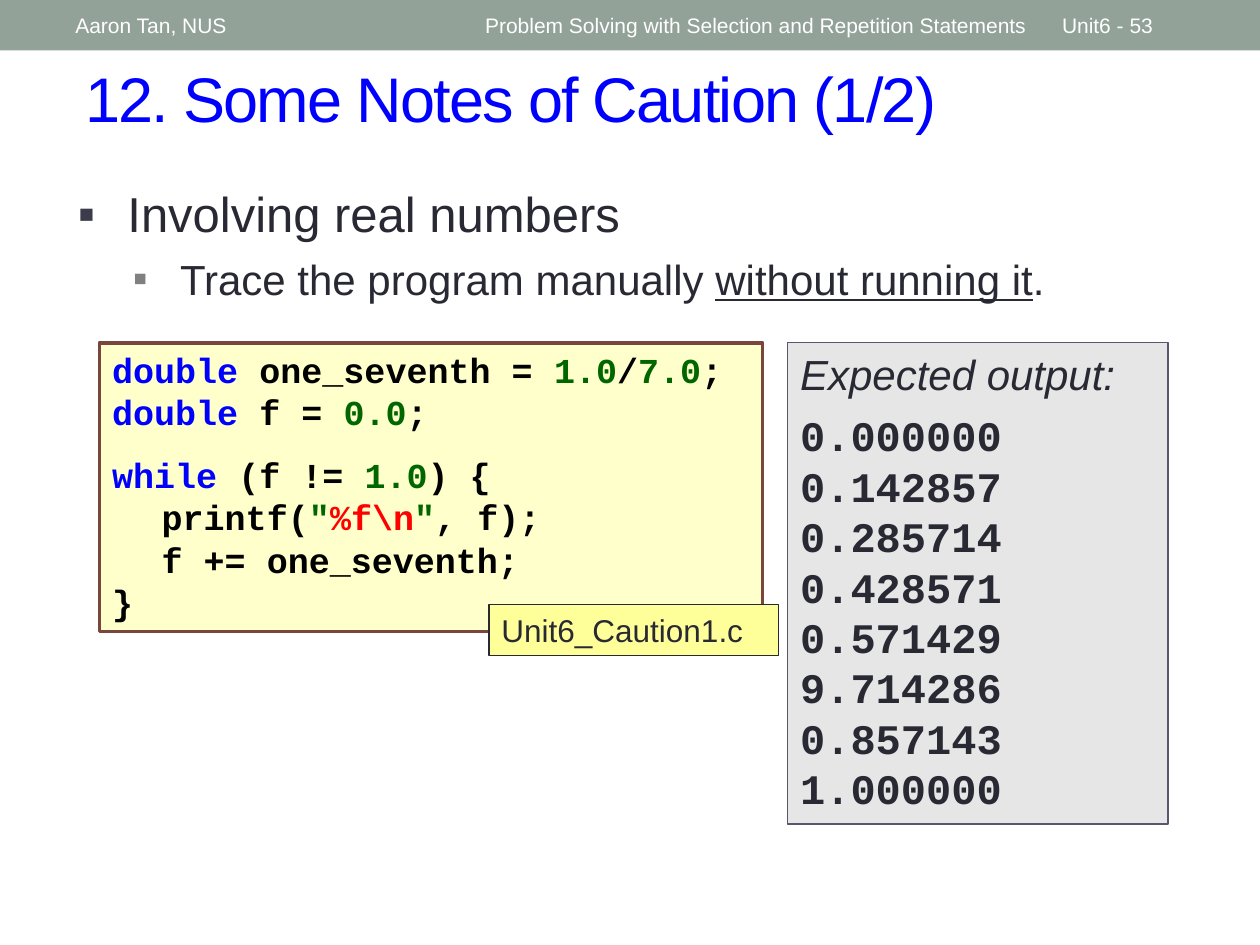
from dataclasses import dataclass
from lxml.etree import SubElement as Sub
from pptx import Presentation
from pptx.dml.color import RGBColor as RGB
from pptx.enum.shapes import MSO_SHAPE as Shape
from pptx.enum.text import MSO_ANCHOR as Anchor, MSO_AUTO_SIZE as Fit, PP_ALIGN as Align
from pptx.oxml.ns import qn
from pptx.util import Cm, Pt


@dataclass(frozen=True)
class Theme:
    sans: str = "Arial"
    mono: str = "Courier New"
    white: str = "FFFFFF"
    band: str = "93A299"
    title: str = "0000FF"
    ink: str = "292934"
    keyword: str = "0000FF"
    plain: str = "000000"
    number: str = "006600"
    escape: str = "FF0000"
    bullet: str = "3B3B4B"
    sub_bullet: str = "808080"
    code_fill: str = "FFFFCC"
    code_line: str = "79463D"
    tag_fill: str = "FFFF99"
    output_fill: str = "E6E6E6"
    output_line: str = "57576E"
    small: int = 12
    file: int = 18
    code: int = 20
    body: int = 24
    lead: int = 28
    heading: int = 36


class Deck:
    def __init__(self, theme):
        self.t = theme
        self.prs = Presentation()
        self.prs.slide_width, self.prs.slide_height = Cm(25.4), Cm(19.05)
        self.s = self.prs.slides.add_slide(self.prs.slide_layouts[6])

    def frame(self, tf, anchor=Anchor.TOP, fit=Fit.NONE):
        for name, value in {"word_wrap": True, "vertical_anchor": anchor, "auto_size": fit}.items():
            setattr(tf, name, value)
        return tf

    def text(self, at, **kw):
        return self.frame(self.s.shapes.add_textbox(*map(Cm, at)).text_frame, **kw)

    def box(self, at, fill, line=None, width=0.75):
        sp = self.s.shapes.add_shape(Shape.RECTANGLE, *map(Cm, at))
        sp.shadow.inherit = False
        sp.fill.solid()
        sp.fill.fore_color.rgb = RGB.from_string(fill)
        if line:
            sp.line.color.rgb = RGB.from_string(line)
            sp.line.width = Pt(width)
        else:
            sp.line.fill.background()
        return self.frame(sp.text_frame, fit=Fit.SHAPE_TO_FIT_TEXT if line else Fit.NONE)

    def para(self, tf, runs, size, font=None, color=None, first=False, **spacing):
        p = tf.paragraphs[0] if first else tf.add_paragraph()
        for name, value in {"alignment": Align.LEFT, **spacing}.items():
            setattr(p, name, value)
        for text, style in runs:
            r = p.add_run()
            r.text = text
            look = {"name": font or self.t.sans, "size": Pt(size), "color": color or self.t.ink, **style}
            r.font.color.rgb = RGB.from_string(look.pop("color"))
            for name, value in look.items():
                setattr(r.font, name, value)
        return p

    def bullet(self, p, color, left, hang):
        ppr = p._p.get_or_add_pPr()
        ppr.set("marL", str(Cm(left)))
        ppr.set("indent", str(-Cm(hang)))
        Sub(Sub(ppr, qn("a:buClr")), qn("a:srgbClr"), val=color)
        Sub(ppr, qn("a:buFont"), typeface=self.t.sans)
        Sub(ppr, qn("a:buChar"), char="▪")

    def tabs(self, p, step, count):
        tab_list = Sub(p._p.get_or_add_pPr(), qn("a:tabLst"))
        for i in range(1, count + 1):
            Sub(tab_list, qn("a:tab"), pos=str(Cm(step * i)), algn="l")


def main():
    t = Theme()
    deck = Deck(t)

    deck.box((0, 0, 25.4, 1.02), t.band)
    for left, width, label in (
        (1.27, 8.05, "Aaron Tan, NUS"),
        (9.53, 11.43, "Problem Solving with Selection and Repetition Statements"),
        (21.16, 2.97, "Unit6 - 53"),
    ):
        tf = deck.text((left, 0.05, width, 0.91), anchor=Anchor.MIDDLE)
        deck.para(tf, [(label, {})], t.small, color=t.white, first=True)

    tf = deck.text((1.47, 1.07, 23.29, 2.34))
    p = deck.para(tf, [("12. Some Notes of Caution (1/2)", {})], t.heading, color=t.title, first=True)
    p.runs[0].font._element.set("spc", "-100")

    tf = deck.text((1.32, 3.58, 22.07, 3.33))
    p = deck.para(tf, [("Involving real numbers", {})], t.lead, first=True)
    deck.bullet(p, t.bullet, 1, 1)
    p = deck.para(
        tf,
        [("Trace the program manually ", {}), ("without running it", {"underline": True}), (".", {})],
        t.body, level=1, space_before=Pt(6),
    )
    deck.bullet(p, t.sub_bullet, 2.06, 0.95)

    code = (
        (("double ", t.keyword), ("one_seventh = ", t.plain), ("1.0", t.number),
         ("/", t.plain), ("7.0", t.number), (";", t.plain)),
        (("double ", t.keyword), ("f = ", t.plain), ("0.0", t.number), (";", t.plain)),
        (("while ", t.keyword), ("(f != ", t.plain), ("1.0", t.number), (") {", t.plain)),
        (("\tprintf(", t.plain), ('"', t.number), ("%f\\n", t.escape), ('"', t.number), (", f);", t.plain)),
        (("\tf += one_seventh;", t.plain),),
        (("}", t.plain),),
    )
    loop_start = 2
    tf = deck.box((2.01, 6.91, 13.36, 5.82), t.code_fill, t.code_line, 2.08)
    for i, line in enumerate(code):
        runs = [(text, {"color": color, "bold": True}) for text, color in line]
        gap = {"space_before": Pt(12)} if i == loop_start else {}
        p = deck.para(tf, runs, t.code, t.mono, first=i == 0)
        deck.tabs(p, 1, 3)
        for name, value in gap.items():
            setattr(p, name, value)

    tf = deck.box((9.86, 12.19, 5.84, 1.02), t.tag_fill, t.ink)
    deck.para(tf, [("Unit6_Caution1.c", {})], t.file, first=True)

    tf = deck.box((15.88, 6.91, 7.67, 9.7), t.output_fill, t.output_line)
    deck.para(tf, [("Expected output:", {"italic": True})], t.body, first=True, space_after=Pt(6))
    for value in ("0.000000", "0.142857", "0.285714", "0.428571",
                  "0.571429", "9.714286", "0.857143", "1.000000"):
        deck.para(tf, [(value, {"bold": True})], t.body, t.mono)

    deck.prs.save("out.pptx")


if __name__ == "__main__":
    main()
